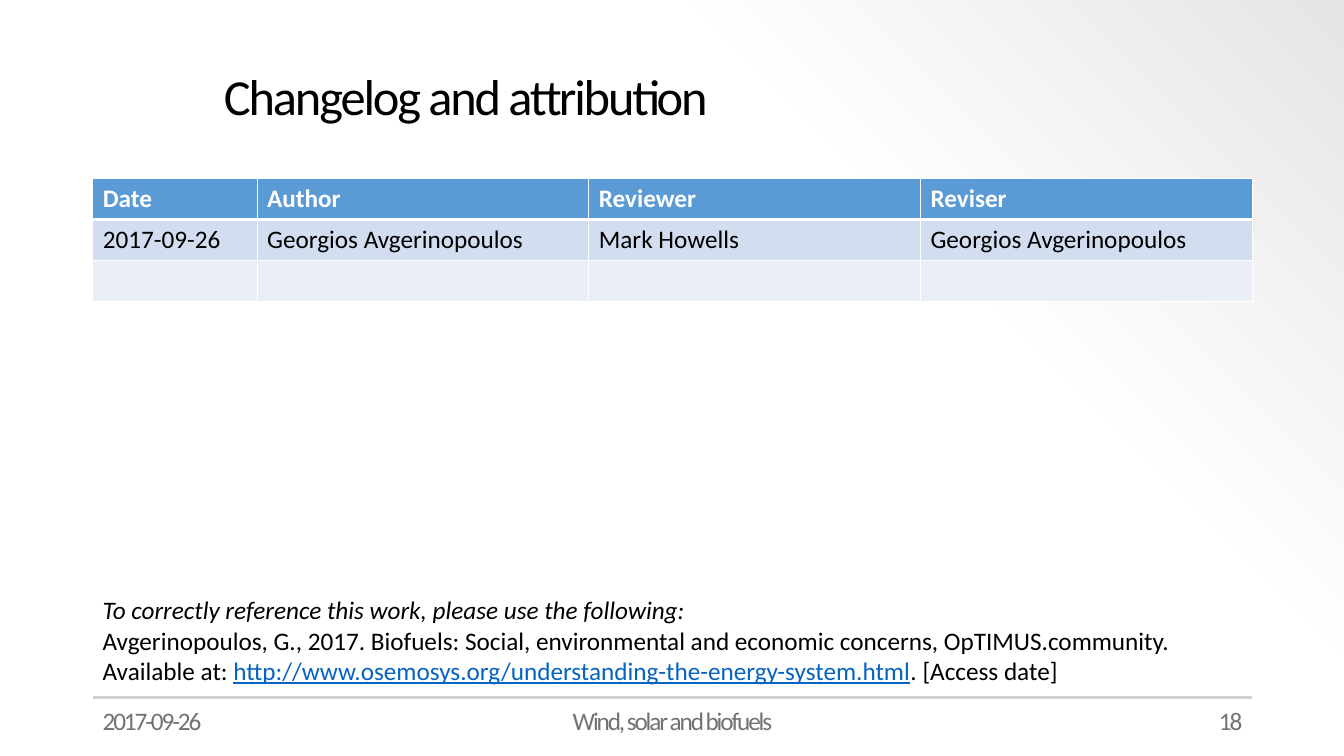
from lxml import etree
from pptx import Presentation, util as u
from pptx.dml.color import RGBColor
from pptx.enum import shapes, text
from pptx.oxml import parse_xml
from pptx.oxml.ns import qn

WIDE, HIGH = 13.33, 7.5
LEFT, SPAN = 0.92, 11.5
FONT = "Calibri"
HUE = {
    "ink": "000000", "white": "FFFFFF", "pale": "FDFDFD", "mist": "E7E6E6",
    "head": "5B9BD5", "odd": "D2DEEF", "even": "EAEFF7",
    "rule": "D0CECE", "foot": "767171", "link": "0563C1",
}
NS = 'xmlns:a="http://schemas.openxmlformats.org/drawingml/2006/main"'
ALIGN = text.PP_ALIGN
ROWS = [
    ["Date", "Author", "Reviewer", "Reviser"],
    ["2017-09-26", "Georgios Avgerinopoulos", "Mark Howells", "Georgios Avgerinopoulos"],
    [""] * 4,
]


def rgb(name):
    return RGBColor.from_string(HUE[name])


def style(run, size=18, hue="ink", bold=False, slant=False, tight=False):
    font = run.font
    font.name, font.size = FONT, u.Pt(size)
    font.bold, font.italic = bold, slant
    font.color.rgb = rgb(hue)
    if tight:
        run._r.get_or_add_rPr().set("spc", "-150")


def place(shape, box):
    shape.left, shape.top, shape.width, shape.height = map(u.Inches, box)


def text_box(slide, box):
    frame = slide.shapes.add_textbox(*map(u.Inches, box)).text_frame
    frame.word_wrap = True
    return frame


def backdrop(slide):
    slide.background.fill.gradient()
    grad = slide.element.find(".//" + qn("a:gradFill"))
    stops = [(0, "white", 100), (69, "pale", 100), (100, "mist", 50)]
    marks = "".join(
        f'<a:gs pos="{pos * 1000}"><a:srgbClr val="{HUE[hue]}">'
        f'<a:alpha val="{alpha * 1000}"/></a:srgbClr></a:gs>'
        for pos, hue, alpha in stops)
    fresh = parse_xml(f'<a:gradFill {NS} rotWithShape="1"><a:gsLst>{marks}</a:gsLst>'
                      f'<a:lin ang="{315 * 60000}" scaled="0"/></a:gradFill>')
    grad.getparent().replace(grad, fresh)


def heading(slide, box):
    title = slide.shapes.title
    place(title, box)
    frame = title.text_frame
    frame.text = "Changelog and attribution"
    frame.word_wrap = True
    frame.vertical_anchor = text.MSO_ANCHOR.MIDDLE
    para = frame.paragraphs[0]
    para.alignment, para.line_spacing = ALIGN.LEFT, 0.9
    style(para.runs[0], 36, tight=True)


def border(cell, row):
    widths = {"L": 1, "R": 1, "T": 3 if row == 1 else 1, "B": 3 if row == 0 else 1}
    props = cell._tc.get_or_add_tcPr()
    for spot, (side, width) in enumerate(widths.items()):
        props.insert(spot, parse_xml(
            f'<a:ln{side} {NS} w="{u.Pt(width)}"><a:solidFill>'
            f'<a:srgbClr val="{HUE["white"]}"/></a:solidFill></a:ln{side}>'))


def log_table(slide, box):
    table = slide.shapes.add_table(len(ROWS), len(ROWS[0]), *map(u.Inches, box)).table
    first = 1.63
    rest = (box[2] - first) / (len(ROWS[0]) - 1)
    for col, part in enumerate(table.columns):
        part.width = u.Inches(rest if col else first)
    for row, words in enumerate(ROWS):
        for col, word in enumerate(words):
            cell = table.cell(row, col)
            cell.text = word
            cell.fill.solid()
            cell.fill.fore_color.rgb = rgb(["head", "odd", "even"][row])
            border(cell, row)
            para = cell.text_frame.paragraphs[0]
            para.font.size = u.Pt(18)
            for run in para.runs:
                style(run, hue="ink" if row else "white", bold=row == 0)


def credit(slide, box):
    frame = text_box(slide, box)
    frame.margin_top = frame.margin_bottom = 0
    frame.text = "To correctly reference this work, please use the following:"
    style(frame.paragraphs[0].runs[0], slant=True)
    para = frame.add_paragraph()
    parts = [
        ("Avgerinopoulos, G., 2017. Biofuels: Social, environmental and economic "
         "concerns, OpTIMUS.community. Available at: ", "ink"),
        ("http://www.osemosys.org/understanding-the-energy-system.html", "link"),
        (". [Access date]", "ink"),
    ]
    for words, hue in parts:
        run = para.add_run()
        run.text = words
        style(run, hue=hue)
        run.font.underline = hue == "link"


def footer(slide, box):
    left, top, width, high = box
    rule = slide.shapes.add_connector(
        shapes.MSO_CONNECTOR.STRAIGHT,
        *map(u.Inches, (left, top, left + width, top)))
    rule.line.color.rgb = rgb("rule")
    rule.line.width = u.Pt(1.5)
    etree.SubElement(rule._element.spPr, qn("a:effectLst"))
    items = [
        ("2017-09-26", 3, 0, ALIGN.LEFT),
        ("Wind, solar and biofuels", 4.5, 0.5, ALIGN.CENTER),
        ("18", 3, 1, ALIGN.RIGHT),
    ]
    for words, wide, share, align in items:
        spot = left + (width - wide) * share
        frame = text_box(slide, (spot, top + 0.03, wide, high))
        frame.text = words
        para = frame.paragraphs[0]
        para.alignment = align
        style(para.runs[0], hue="foot", tight=True)


def main():
    deck = Presentation()
    deck.slide_width, deck.slide_height = u.Inches(WIDE), u.Inches(HIGH)
    slide = deck.slides.add_slide(deck.slide_layouts[5])
    backdrop(slide)
    heading(slide, (LEFT + 1.2, 0.37, SPAN - 1.2, 1.22))
    log_table(slide, (LEFT, 1.77, SPAN, 1.22))
    credit(slide, (LEFT, 5.9, SPAN, 0.93))
    footer(slide, (LEFT, 6.92, SPAN, 0.4))
    deck.save("out.pptx")


if __name__ == "__main__":
    main()
